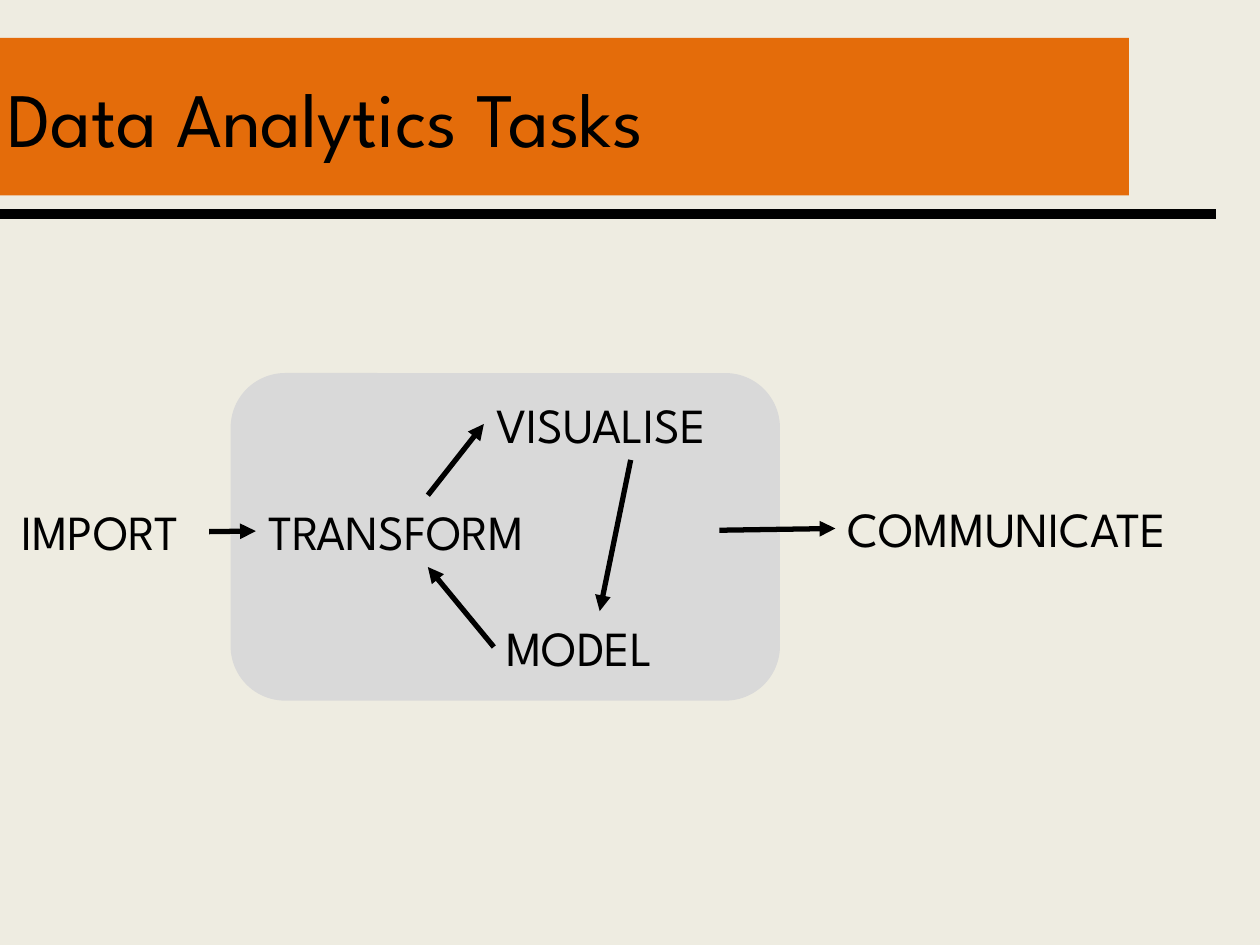
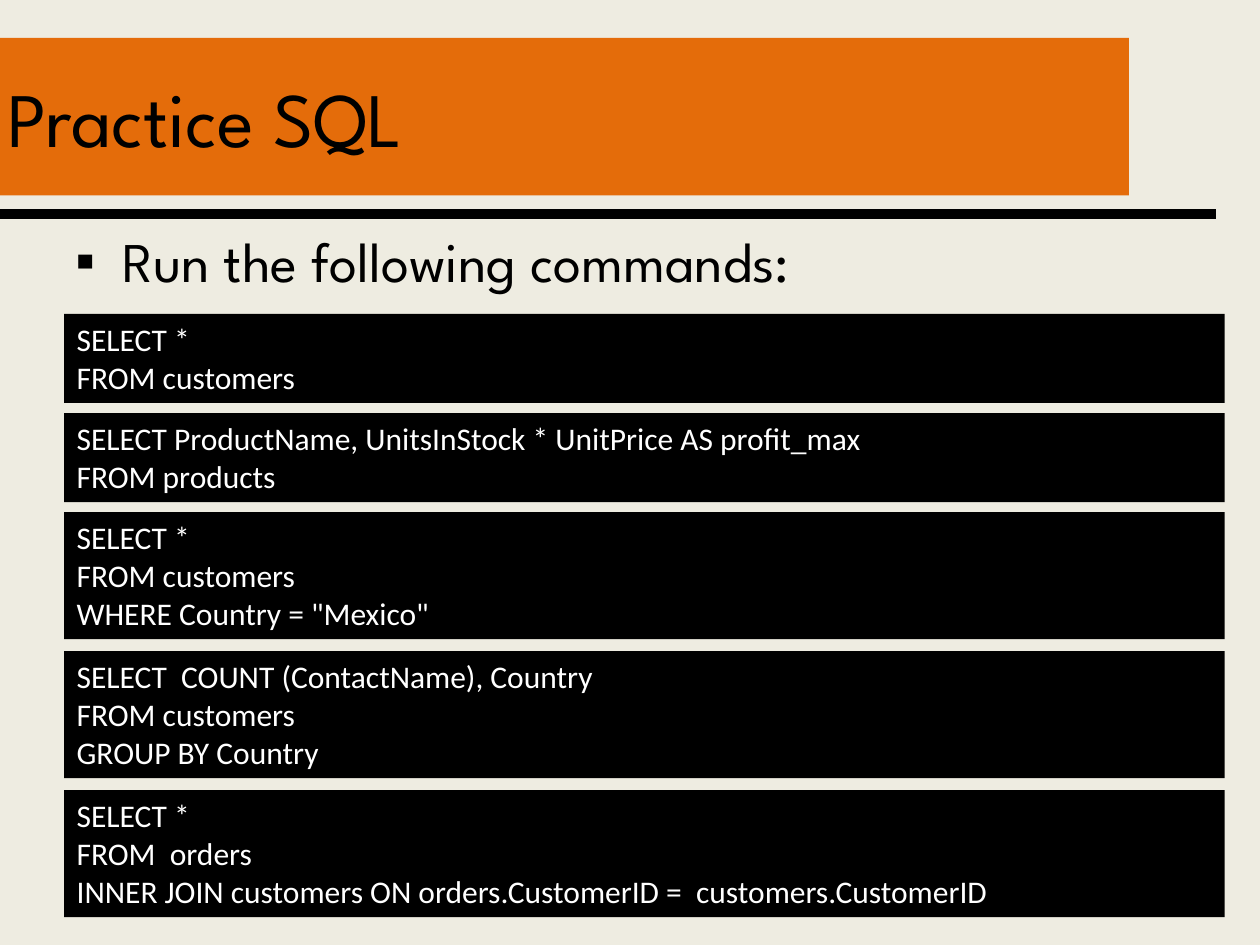
"""Build two slides: the data analytics workflow and an SQL practice sheet."""
from dataclasses import dataclass

from pptx import Presentation
from pptx.dml.color import RGBColor
from pptx.enum import shapes, text
from pptx.oxml import ns, xmlchemy
from pptx.util import Pt


@dataclass(frozen=True)
class Theme:
    paper: str = "EEECE1"
    band: str = "E46C0A"
    panel: str = "D9D9D9"
    ink: str = "000000"
    reverse: str = "FFFFFF"
    display: str = "League Spartan"
    code: str = "Calibri"
    title_size: int = 44
    body_size: int = 32
    task_size: int = 28
    code_size: int = 18
    rule_width: int = 6
    arrow_width: int = 3


THEME = Theme()
TOP, LEFT, BOTTOM = 0, 1, 2

WORKFLOW_TITLE = "Data Analytics Tasks"
TASK_HEIGHT = 41
TASKS = {
    "IMPORT": (5, 283, 138),
    "TRANSFORM": (146.2, 283, 196.6),
    "VISUALISE": (276.5, 221.8, 167.8),
    "MODEL": (282.2, 349.2, 121),
    "COMMUNICATE": (477.4, 281.5, 242.6),
}
CYCLE_PANEL = (131.8, 213.2, 313.9, 187.2)
CYCLE = [
    ("TRANSFORM", TOP, "VISUALISE", LEFT),
    ("VISUALISE", BOTTOM, "MODEL", TOP),
    ("MODEL", LEFT, "TRANSFORM", BOTTOM),
]
ENTRIES = [((119.5, 303.8), "TRANSFORM"), ((411.1, 303), "COMMUNICATE")]

PRACTICE_TITLE = "Practice SQL"
INSTRUCTION = "Run the following commands:"
QUERIES = [
    ["SELECT *", "FROM customers"],
    ["SELECT ProductName, UnitsInStock * UnitPrice AS profit_max", "FROM products"],
    ["SELECT *", "FROM customers", 'WHERE Country = "Mexico"'],
    ["SELECT  COUNT (ContactName), Country", "FROM customers", "GROUP BY Country"],
    ["SELECT *", "FROM  orders",
     "INNER JOIN customers ON orders.CustomerID =  customers.CustomerID"],
]
QUERY_LEFT, QUERY_TOP, QUERY_WIDTH = 36.7, 179.3, 663.1


def rgb(code):
    return RGBColor.from_string(code)


def write(holder, lines, size, font=THEME.display, color=THEME.ink,
          anchor=text.MSO_ANCHOR.TOP):
    frame = holder.text_frame
    frame.word_wrap = True
    frame.vertical_anchor = anchor
    frame.text = "\n".join(lines)
    for paragraph in frame.paragraphs:
        paragraph.alignment = text.PP_ALIGN.LEFT
        paragraph.font.name = font
        paragraph.font.size = Pt(size)
        paragraph.font.color.rgb = rgb(color)


def add_block(slide, preset, box, color):
    block = slide.shapes.add_shape(preset, *map(Pt, box))
    block.shadow.inherit = False
    block.fill.solid()
    block.fill.fore_color.rgb = rgb(color)
    block.line.fill.background()
    return block


def add_label(slide, box, label, size):
    holder = slide.shapes.add_textbox(*map(Pt, box))
    write(holder, [label], size)
    return holder


def add_line(slide, start, end, width):
    line = slide.shapes.add_connector(
        shapes.MSO_CONNECTOR.STRAIGHT, *map(Pt, (*start, *end)))
    line.line.color.rgb = rgb(THEME.ink)
    line.line.width = Pt(width)
    properties = line._element.spPr
    properties.append(xmlchemy.OxmlElement("a:effectLst"))
    return line


def add_arrow(slide, target, side, start=(0, 0), source=None, source_side=None):
    arrow = add_line(slide, start, (0, 0), THEME.arrow_width)
    if source is not None:
        arrow.begin_connect(source, source_side)
    arrow.end_connect(target, side)
    head = xmlchemy.OxmlElement("a:tailEnd")
    head.set("type", "triangle")
    arrow._element.spPr.find(ns.qn("a:ln")).append(head)


def add_bullet(paragraph, symbol, indent):
    properties = paragraph._p.get_or_add_pPr()
    properties.set("marL", str(Pt(indent)))
    properties.set("indent", str(-Pt(indent)))
    font = xmlchemy.OxmlElement("a:buFont")
    font.set("typeface", "Arial")
    mark = xmlchemy.OxmlElement("a:buChar")
    mark.set("char", symbol)
    properties.insert(0, font)
    properties.insert(1, mark)


def add_titled_slide(deck, title):
    slide = deck.slides.add_slide(deck.slide_layouts[6])
    slide.background.fill.solid()
    slide.background.fill.fore_color.rgb = rgb(THEME.paper)
    add_line(slide, (0, 122.4), (694.8, 122.4), THEME.rule_width)
    band = add_block(slide, shapes.MSO_SHAPE.RECTANGLE, (-2.9, 21.6, 648, 90), THEME.band)
    write(band, [title], THEME.title_size, anchor=text.MSO_ANCHOR.MIDDLE)
    return slide


def build_workflow(deck):
    slide = add_titled_slide(deck, WORKFLOW_TITLE)
    add_block(slide, shapes.MSO_SHAPE.ROUNDED_RECTANGLE, CYCLE_PANEL, THEME.panel)
    tasks = {name: add_label(slide, (*place, TASK_HEIGHT), name, THEME.task_size)
             for name, place in TASKS.items()}
    for source, source_side, target, side in CYCLE:
        add_arrow(slide, tasks[target], side,
                  source=tasks[source], source_side=source_side)
    for start, target in ENTRIES:
        add_arrow(slide, tasks[target], LEFT, start)


def build_practice(deck):
    slide = add_titled_slide(deck, PRACTICE_TITLE)
    instruction = add_label(slide, (36, 126, 648, 48), INSTRUCTION, THEME.body_size)
    add_bullet(instruction.text_frame.paragraphs[0], "▪", 27)
    top = QUERY_TOP
    for query in QUERIES:
        height = 7.8 + 21.6 * len(query)
        block = add_block(slide, shapes.MSO_SHAPE.RECTANGLE,
                          (QUERY_LEFT, top, QUERY_WIDTH, height), THEME.ink)
        write(block, query, THEME.code_size, THEME.code, THEME.reverse)
        top += 11.3 + 22.7 * len(query)


def main():
    deck = Presentation()
    deck.slide_width, deck.slide_height = Pt(720), Pt(540)
    build_workflow(deck)
    build_practice(deck)
    deck.save("out.pptx")


if __name__ == "__main__":
    main()
